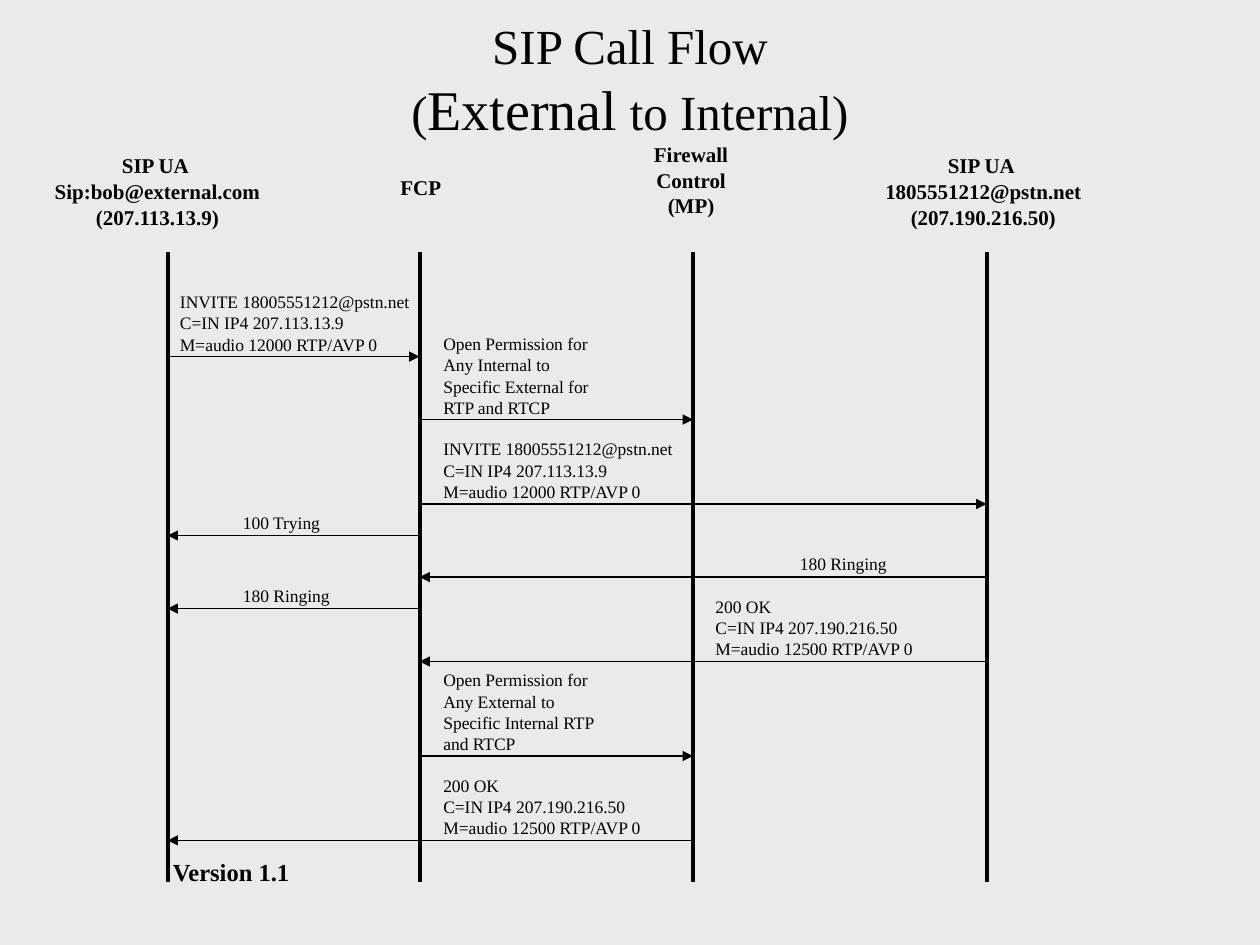
import pptx
import pptx.dml.color
import pptx.enum.shapes
import pptx.enum.text
import pptx.oxml.ns
import pptx.util
import lxml.etree

Inches = pptx.util.Inches
Pt = pptx.util.Pt
RGBColor = pptx.dml.color.RGBColor
ALIGN = pptx.enum.text.PP_ALIGN
ANCHOR = pptx.enum.text.MSO_ANCHOR
FIT = pptx.enum.text.MSO_AUTO_SIZE
qn = pptx.oxml.ns.qn

BLACK = RGBColor(0, 0, 0)
GREY = RGBColor(0xEA, 0xEA, 0xEA)
FONT = "Times New Roman"

# Lifelines, left to right
CALLER, FCP, WALL, CALLEE = 1.33, 3.33, 5.5, 7.83
TOP, END = 2, 7

# Left, top, width, lines
HEADS = [
    (0.33, 1.25, 1.84, ["SIP UA ", "Sip:bob@external.com", "(207.113.13.9)"]),
    (3.05, 1.42, 0.58, ["FCP"]),
    (5.08, 1.16, 0.81, ["Firewall", "Control", "(MP)"]),
    (6.92, 1.25, 1.77, ["SIP UA ", "1805551212@pstn.net", "(207.190.216.50)"]),
]

INVITE = ["INVITE 18005551212@pstn.net", "C=IN IP4 207.113.13.9",
          "M=audio 12000 RTP/AVP 0"]
ANSWER = ["200 OK", "C=IN IP4 207.190.216.50", "M=audio 12500 RTP/AVP 0"]
OPEN_OUT = ["Open Permission for", "Any Internal to",
            "Specific External for", "RTP and RTCP"]
OPEN_IN = ["Open Permission for", "Any External to",
           "Specific Internal RTP", "and RTCP"]

# Arrow height, start, end, label left, label width, lines
CALLS = [
    (2.83, CALLER, FCP, 1.33, 2.08, INVITE),
    (3.33, FCP, WALL, 3.42, 1.81, OPEN_OUT),
    (4, FCP, CALLEE, 3.42, 2.03, INVITE),
    (4.25, FCP, CALLER, 1.83, 0.84, ["100 Trying"]),
    (4.58, CALLEE, FCP, 6.25, 0.9, ["180 Ringing"]),
    (4.83, FCP, CALLER, 1.83, 0.9, ["180 Ringing"]),
    (5.25, CALLEE, FCP, 5.58, 1.8, ANSWER),
    (6, FCP, WALL, 3.42, 1.81, OPEN_IN),
    (6.67, WALL, CALLER, 3.42, 1.8, ANSWER),
]


def add_run(para, text, size, bold=False):
    run = para.add_run()
    run.text = text
    font = run.font
    font.name = FONT
    font.size = Pt(size)
    font.bold = bold
    font.color.rgb = BLACK


def add_text(slide, left, top, width, height, lines, size, bold=False,
             align=ALIGN.LEFT, tight=True):
    """Add one paragraph a line; tight halves the leading and fits the box."""
    box = slide.shapes.add_textbox(
        Inches(left), Inches(top), Inches(width), Inches(height))
    frame = box.text_frame
    frame.word_wrap = not tight
    frame.auto_size = FIT.SHAPE_TO_FIT_TEXT if tight else FIT.NONE
    for i, line in enumerate(lines):
        para = frame.add_paragraph() if i else frame.paragraphs[0]
        para.alignment = align
        if tight:
            para.line_spacing = 0.5
        if i:
            para.space_before = Pt(size * 0.625)
        add_run(para, line, size, bold)


def add_line(slide, x1, y1, x2, y2, weight, arrow=False):
    line = slide.shapes.add_connector(
        pptx.enum.shapes.MSO_CONNECTOR.STRAIGHT,
        Inches(x1), Inches(y1), Inches(x2), Inches(y2))
    line.line.color.rgb = BLACK
    line.line.width = Pt(weight)
    props = line._element.spPr
    if arrow:
        lxml.etree.SubElement(
            props.find(qn("a:ln")), qn("a:tailEnd"), type="triangle")
    lxml.etree.SubElement(props, qn("a:effectLst"))


def set_title(slide):
    title = slide.shapes.title
    title.left, title.top = Inches(0), Inches(0)
    title.width, title.height = Inches(10), Inches(1.25)
    frame = title.text_frame
    frame.vertical_anchor = ANCHOR.MIDDLE
    frame.auto_size = FIT.NONE
    para = frame.paragraphs[0]
    para.alignment = ALIGN.CENTER
    add_run(para, "SIP Call Flow", 28)
    para.add_line_break()
    add_run(para, "(", 28)
    add_run(para, "External", 32)
    add_run(para, " to Internal)", 28)


def add_head(slide, left, top, width, lines):
    height = 0.2 + 0.2 * (len(lines) - 1)
    add_text(slide, left, top, width, height, lines, 12, True, ALIGN.CENTER)


def add_call(slide, y, start, end, left, width, lines):
    """Draw a message arrow with its label resting on it."""
    count = len(lines)
    add_line(slide, start, y, end, y, 0.75, arrow=True)
    add_text(slide, left, y - count / 6, width, 0.02 + 0.17 * count, lines, 10)


def main():
    deck = pptx.Presentation()
    deck.slide_width, deck.slide_height = Inches(10), Inches(7.5)
    slide = deck.slides.add_slide(deck.slide_layouts[5])
    fill = slide.background.fill
    fill.solid()
    fill.fore_color.rgb = GREY
    set_title(slide)
    for x in (CALLER, FCP, WALL, CALLEE):
        add_line(slide, x, TOP, x, END, 2.25)
    for head in HEADS:
        add_head(slide, *head)
    for call in CALLS:
        add_call(slide, *call)
    add_text(slide, 0.25, 6.75, 3.17, 0.5, ["Version 1.1"], 14, True,
             ALIGN.CENTER, tight=False)
    deck.save("out.pptx")


if __name__ == "__main__":
    main()
